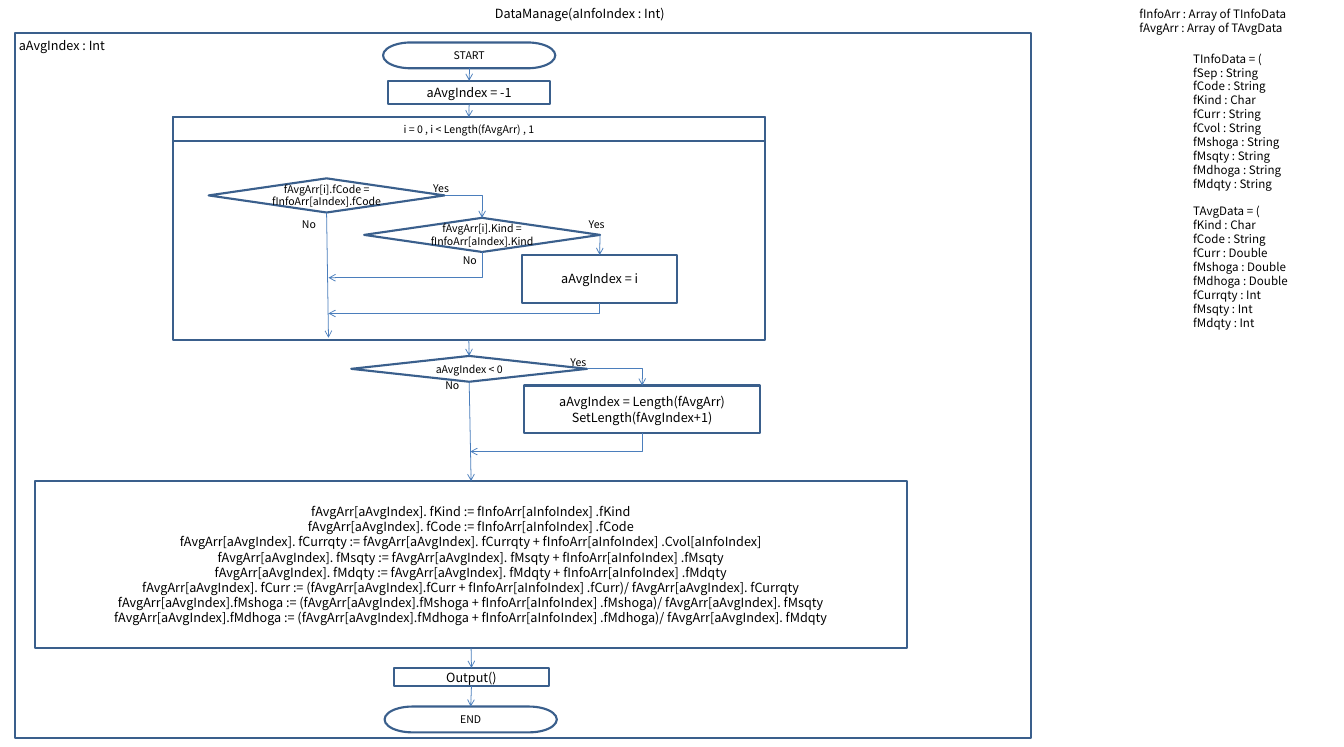
from dataclasses import dataclass

from lxml import etree
from pptx import Presentation
from pptx import util as u
from pptx.dml.color import RGBColor
from pptx.enum import shapes, text
from pptx.oxml.ns import qn


@dataclass(frozen=True)
class Theme:
    """Colours, type sizes, line weights and the grid cell of the slide."""
    font: str = "Noto Sans CJK KR"
    ink: RGBColor = RGBColor(0, 0, 0)
    outline: RGBColor = RGBColor.from_string("3A5F8C")
    flow: RGBColor = RGBColor.from_string("4B7EBC")
    code: float = 12
    listing: float = 11
    small: float = 10
    leading: float = 1.2
    border: float = 2
    thin: float = 0.75
    cell: float = 0.1


THEME = Theme()
KIND = shapes.MSO_SHAPE
INFO_FIELDS = """TInfoData = (
fSep : String
fCode : String
fKind : Char
fCurr : String
fCvol : String
fMshoga : String
fMsqty : String
fMdhoga : String
fMdqty : String"""
AVG_FIELDS = """TAvgData = (
fKind : Char
fCode : String
fCurr : Double
fMshoga : Double
fMdhoga : Double
fCurrqty : Int
fMsqty : Int
fMdqty : Int"""


def grid(count):
    """Length of a number of grid cells."""
    return u.Inches(count * THEME.cell)


def write(shape, wording, size, align, inset=(0, 0), wrap=True):
    """Fill a shape with one paragraph per line of wording."""
    frame = shape.text_frame
    frame.word_wrap = wrap
    frame.margin_left = frame.margin_right = grid(inset[0])
    frame.margin_top = frame.margin_bottom = grid(inset[1])
    frame.text = wording
    for para in frame.paragraphs:
        para.alignment = align
        para.line_spacing = u.Pt(size * THEME.leading)
        para.font.size = u.Pt(size)
        para.font.name = THEME.font
        para.font.color.rgb = THEME.ink


def node(page, kind, center, top, width, height, wording="", size=THEME.code):
    """Outlined flowchart node centred on a column."""
    shape = page.shapes.add_shape(
        kind, grid(center - width / 2), grid(top), grid(width), grid(height))
    shape.shadow.inherit = False
    shape.fill.background()
    shape.line.color.rgb = THEME.outline
    shape.line.width = u.Pt(THEME.border)
    if wording:
        shape.text_frame.vertical_anchor = text.MSO_ANCHOR.MIDDLE
        inset = (0, 0.1) if kind == KIND.FLOWCHART_DECISION else (0, 0)
        write(shape, wording, size, text.PP_ALIGN.CENTER, inset)
    return shape


def decision(page, center, top, height, wording):
    """Diamond of the common width."""
    return node(page, KIND.FLOWCHART_DECISION, center, top, 31.1, height, wording, THEME.small)


def terminator(page, center, top, wording):
    """Rounded start or end node."""
    return node(page, KIND.FLOWCHART_TERMINATOR, center, top, 22.7, 3.4, wording, THEME.small)


def note(page, left, top, width, height, wording, size, inset=(1, 0.5), wrap=True):
    """Plain left-aligned text."""
    box = page.shapes.add_textbox(grid(left), grid(top), grid(width), grid(height))
    write(box, wording, size, text.PP_ALIGN.LEFT, inset, wrap)


def head(shape):
    """Middle of the top edge."""
    return shape.left + shape.width // 2, shape.top


def foot(shape):
    """Middle of the bottom edge."""
    return shape.left + shape.width // 2, shape.top + shape.height


def side(shape):
    """Middle of the right edge."""
    return shape.left + shape.width, shape.top + shape.height // 2


def arrow(page, start, end, kind=shapes.MSO_CONNECTOR.STRAIGHT):
    """Thin arrow between two points."""
    line = page.shapes.add_connector(kind, *start, *end)
    line.line.color.rgb = THEME.flow
    line.line.width = u.Pt(THEME.thin)
    properties = line._element.spPr
    etree.SubElement(properties.find(qn("a:ln")), qn("a:tailEnd"), type="arrow")
    etree.SubElement(properties, qn("a:effectLst"))
    return line


def branch(page, start, end):
    """One-corner arrow: right then down, or down then left."""
    (x1, y1), (x2, y2) = start, end
    turned = x2 < x1
    if turned:
        middle_x, middle_y = (x1 + x2) // 2, (y1 + y2) // 2
        across, down = (y2 - y1) // 2, (x1 - x2) // 2
        start = middle_x - across, middle_y - down
        end = middle_x + across, middle_y + down
    line = arrow(page, start, end, shapes.MSO_CONNECTOR.ELBOW)
    properties = line._element.spPr
    properties.find(qn("a:prstGeom")).set("prst", "bentConnector2")
    if turned:
        properties.find(qn("a:xfrm")).set("rot", "5400000")


def assignments():
    """Lines that update the averages."""
    avg, info = "fAvgArr[aAvgIndex]", "fInfoArr[aInfoIndex]"
    lines = [f"{avg}. {name} := {info} .{name}" for name in ("fKind", "fCode")]
    sums = (("fCurrqty", "Cvol[aInfoIndex]"), ("fMsqty", "fMsqty"), ("fMdqty", "fMdqty"))
    lines += [f"{avg}. {name} := {avg}. {name} + {info} .{source}" for name, source in sums]
    means = ((" fCurr", "fCurrqty"), ("fMshoga", "fMsqty"), ("fMdhoga", "fMdqty"))
    lines += [f"{avg}.{name} := ({avg}.{name.strip()} + {info} .{name.strip()})/ {avg}. {count}"
              for name, count in means]
    return "\n".join(lines)


def draw_loop(page):
    """Loop over the averages; returns its frame and header."""
    frame = node(page, KIND.RECTANGLE, 61.8, 15.4, 78, 29.4)
    header = node(page, KIND.RECTANGLE, 61.8, 15.45, 78, 3.1,
                  "i = 0 , i < Length(fAvgArr) , 1", THEME.small)
    code = decision(page, 43.05, 23.5, 4.5, "fAvgArr[i].fCode = fInfoArr[aIndex].fCode")
    kind = decision(page, 63.55, 28.7, 4.5, "fAvgArr[i].Kind = fInfoArr[aIndex].Kind")
    found = node(page, KIND.RECTANGLE, 79.05, 33.6, 20.5, 6.3, "aAvgIndex = i")
    spine = grid(43.3)
    arrow(page, foot(code), (spine, grid(44.5)))
    branch(page, side(code), head(kind))
    arrow(page, side(kind), head(found))
    branch(page, foot(kind), (spine, grid(36.6)))
    branch(page, foot(found), (spine, grid(41.3)))
    return frame, header


def draw_flow(page):
    """Main line of the flowchart from START to END."""
    start = terminator(page, 61.85, 5.6, "START")
    reset = node(page, KIND.RECTANGLE, 61.85, 10.65, 21.3, 3.1, "aAvgIndex = -1")
    frame, header = draw_loop(page)
    missing = decision(page, 61.85, 46.9, 3.4, "aAvgIndex < 0")
    append = node(page, KIND.RECTANGLE, 84.65, 50.8, 31.1, 6.3,
                  "aAvgIndex = Length(fAvgArr)\nSetLength(fAvgIndex+1)")
    update = node(page, KIND.RECTANGLE, 62.1, 63.4, 115, 22, assignments())
    output = node(page, KIND.RECTANGLE, 62.15, 88, 20.5, 2.4, "Output()")
    end = terminator(page, 62.05, 93.1, "END")
    steps = ((start, reset), (reset, header), (frame, missing),
             (missing, update), (update, output), (output, end))
    for before, after in steps:
        arrow(page, foot(before), head(after))
    branch(page, side(missing), head(append))
    branch(page, foot(append), (grid(62), grid(59.5)))


def main():
    """Build and save the slide."""
    deck = Presentation()
    deck.slide_width, deck.slide_height = u.Cm(45), u.Cm(25)
    page = deck.slides.add_slide(deck.slide_layouts[6])
    node(page, KIND.RECTANGLE, 68.95, 4.3, 133.9, 92.9)
    title = page.shapes.add_textbox(grid(17.1), 0, grid(118.7), grid(3.5))
    title.text_frame.vertical_anchor = text.MSO_ANCHOR.MIDDLE
    write(title, "DataManage(aInfoIndex : Int)", THEME.code, text.PP_ALIGN.CENTER)
    draw_flow(page)
    note(page, 1.5, 4.5, 26.5, 3, "aAvgIndex : Int", THEME.code)
    note(page, 149.2, 0.4, 21.7, 4.7,
         "fInfoArr : Array of TInfoData\nfAvgArr : Array of TAvgData", THEME.listing, wrap=False)
    note(page, 156.3, 6.3, 14, 19.5, INFO_FIELDS, THEME.listing)
    note(page, 156.3, 26.4, 15, 19.5, AVG_FIELDS, THEME.listing)
    answers = {"Yes": ((57.1, 24), (77.6, 28.7), (75.2, 46.9)),
               "No": ((39.8, 28.7), (61, 33.5), (58.7, 50))}
    for answer, places in answers.items():
        for left, top in places:
            note(page, left, top, 2.5, 1.7, answer, THEME.small, (0, 0), wrap=False)
    deck.save("out.pptx")


main()
